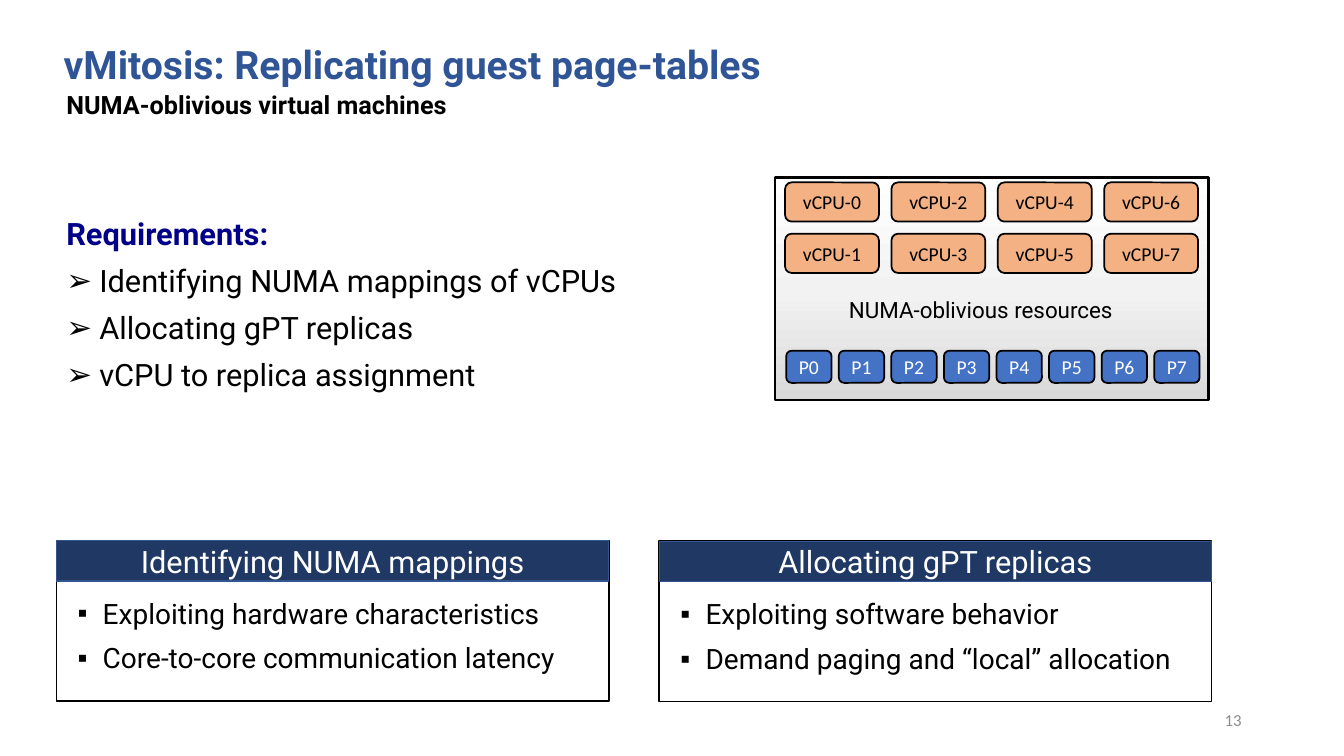
from copy import deepcopy

from lxml import etree
from pptx import Presentation
from pptx.dml.color import RGBColor
from pptx.enum.shapes import MSO_SHAPE
from pptx.enum.text import MSO_ANCHOR, PP_ALIGN
from pptx.oxml.ns import qn
from pptx.util import Pt

RECT, ROUNDED = MSO_SHAPE.RECTANGLE, MSO_SHAPE.ROUNDED_RECTANGLE
TOP, MIDDLE, BOTTOM = MSO_ANCHOR.TOP, MSO_ANCHOR.MIDDLE, MSO_ANCHOR.BOTTOM
LEFT, CENTER, RIGHT = PP_ALIGN.LEFT, PP_ALIGN.CENTER, PP_ALIGN.RIGHT

BLACK, WHITE, NAVY = "000000", "FFFFFF", "203864"


def rgb(color):
    return RGBColor.from_string(color)


class SlideBuilder:
    heading_font = "Roboto"
    label_font = "Calibri"

    def __init__(self, page):
        self.page = page

    def add_span(self, para, text, size, color, font, bold=False):
        span = para.add_run()
        span.text = text
        span.font.name = font
        span.font.size = Pt(size)
        span.font.bold = bold
        span.font.color.rgb = rgb(color)

    def set_bullet(self, para, symbol, indent):
        props = para._p.get_or_add_pPr()
        props.set("marL", str(Pt(indent)))
        props.set("indent", str(-Pt(indent)))
        etree.SubElement(props, qn("a:buFont"), typeface="Arial")
        etree.SubElement(props, qn("a:buChar"), char=symbol)

    def shape(self, kind, bounds, fill, line, line_width):
        box = self.page.shapes.add_shape(kind, *map(Pt, bounds))
        box.shadow.inherit = False
        if fill:
            box.fill.solid()
            box.fill.fore_color.rgb = rgb(fill)
        else:
            box.fill.background()
        box.line.color.rgb = rgb(line)
        box.line.width = Pt(line_width)
        return box

    def gradient(self, box, stops):
        """Fill a box from bottom to top with three (percent, color) stops."""
        box.fill.gradient()
        box.fill.gradient_angle = 90
        first = box.element.spPr.find(".//" + qn("a:gs"))
        first.addnext(deepcopy(first))
        elements = box.element.spPr.findall(".//" + qn("a:gs"))
        for element, stop, (percent, color) in zip(elements, box.fill.gradient_stops, stops):
            element.set("pos", str(percent * 1000))
            stop.color.rgb = rgb(color)

    def label(self, box, text, size, color, font):
        frame = box.text_frame
        frame.margin_left = frame.margin_right = 0
        frame.vertical_anchor = MIDDLE
        para = frame.paragraphs[0]
        para.alignment = CENTER
        self.add_span(para, text, size, color, font)

    def text(self, bounds, text, size, color, font=heading_font, bold=False,
             align=LEFT, anchor=TOP, inset=True):
        frame = self.page.shapes.add_textbox(*map(Pt, bounds)).text_frame
        frame.word_wrap = True
        frame.vertical_anchor = anchor
        if not inset:
            frame.margin_left = frame.margin_right = 0
            frame.margin_top = frame.margin_bottom = 0
        para = frame.paragraphs[0]
        para.alignment = align
        para.line_spacing = 0.9
        self.add_span(para, text, size, color, font, bold)
        return frame

    def bullets(self, frame, items, symbol, size, indent):
        """Add bulleted items, starting in the first paragraph if it is empty."""
        for item in items:
            if frame.paragraphs[0].runs:
                para = frame.add_paragraph()
                para.space_before = Pt(10)
            else:
                para = frame.paragraphs[0]
            para.line_spacing = 0.9
            self.set_bullet(para, symbol, indent)
            self.add_span(para, item, size, BLACK, self.heading_font)

    def chip(self, bounds, text, fill, color):
        box = self.shape(ROUNDED, bounds, fill, BLACK, 1.25)
        self.label(box, text, 14, color, self.label_font)

    def panel(self, left, top, title, items):
        self.shape(RECT, (left, top, 394.5, 114.5), None, BLACK, 1.25)
        header = self.shape(RECT, (left, top, 394.5, 29), NAVY, "325491", 1)
        self.label(header, title, 22, WHITE, self.heading_font)
        body = self.page.shapes.add_textbox(Pt(left + 8), Pt(top + 39), Pt(376.5), Pt(72.5))
        body.text_frame.word_wrap = True
        self.bullets(body.text_frame, items, "▪", 20, 18)


def main():
    deck = Presentation()
    deck.slide_width, deck.slide_height = Pt(960), Pt(540)
    builder = SlideBuilder(deck.slides.add_slide(deck.slide_layouts[6]))

    # Title, subtitle and page number
    builder.text((45.5, 32.5, 866, 30), "vMitosis: Replicating guest page-tables",
                 28, "2F5597", bold=True, anchor=BOTTOM, inset=False)
    builder.text((40.3, 62.6, 510, 36), "NUMA-oblivious virtual machines",
                 18, BLACK, bold=True)
    builder.text((678, 500.5, 216, 28.8), "13", 12, "8C8C8C",
                 font=builder.label_font, align=RIGHT, anchor=MIDDLE)

    # Requirements list
    requirements = builder.text((40.3, 152.6, 445, 188.6), "Requirements:",
                                22, "000088", bold=True)
    builder.bullets(requirements,
                    ["Identifying NUMA mappings of vCPUs",
                     "Allocating gPT replicas",
                     "vCPU to replica assignment"], "➢", 22, 23.5)

    # Virtual machine with its virtual and physical processors
    machine = builder.shape(RECT, (553.7, 126.7, 309.6, 159.1), WHITE, BLACK, 1.75)
    builder.gradient(machine, [(0, "D9D9D9"), (48, "F2F2F2"), (100, WHITE)])
    for number in range(8):
        column, row = divmod(number, 2)
        builder.chip((560.8 + 76 * column, 130.3 + 36.7 * row, 67, 28),
                     f"vCPU-{number}", "F4B183", BLACK)
        builder.chip((561.6 + 37.55 * number, 250.5, 32.4, 23),
                     f"P{number}", "4472C4", WHITE)
    builder.text((545.8, 210.2, 309.6, 34.6), "NUMA-oblivious resources",
                 16, BLACK, align=CENTER)

    # Two solution panels
    builder.panel(40.3, 386, "Identifying NUMA mappings",
                  ["Exploiting hardware characteristics",
                   "Core-to-core communication latency"])
    builder.panel(470.9, 386.6, "Allocating gPT replicas",
                  ["Exploiting software behavior",
                   "Demand paging and “local” allocation"])

    deck.save("out.pptx")


if __name__ == "__main__":
    main()
